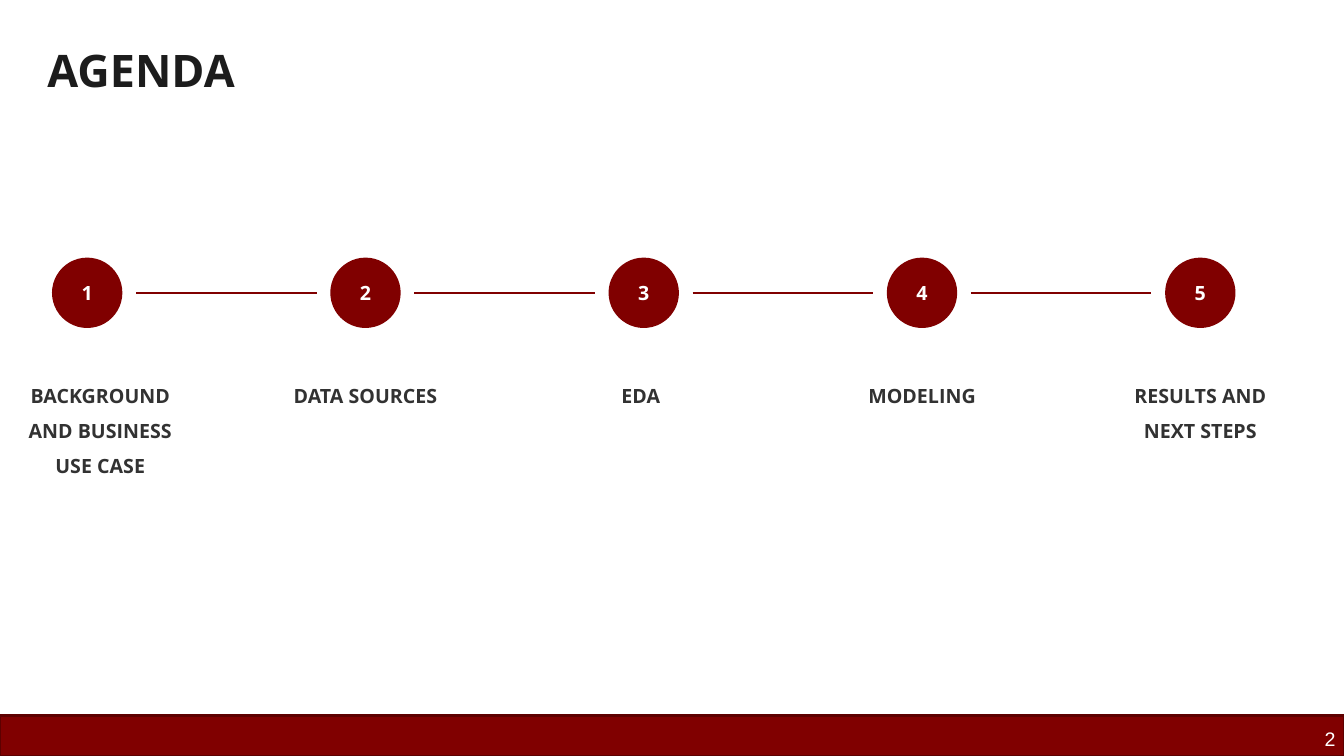
from pptx import Presentation
from pptx.dml.color import RGBColor
from pptx.enum.shapes import MSO_CONNECTOR as Connector, MSO_SHAPE as Shape
from pptx.enum.text import MSO_ANCHOR as Anchor, MSO_AUTO_SIZE as AutoSize, PP_ALIGN as Align
from pptx.util import Inches, Pt
from lxml.etree import SubElement
from pptx.oxml.ns import qn

MAROON = "800000"
STEPS = [
    ("BACKGROUND AND BUSINESS USE CASE", 1.87, 1.04, 0.13),
    ("DATA SOURCES", 1.87, 0.34, 0),
    ("EDA", 0.62, 0.34, -0.03),
    ("MODELING", 1.48, 0.34, 0),
    ("RESULTS AND NEXT STEPS", 1.87, 0.77, 0),
]


def color(value):
    """Turn a hex string into a colour."""
    return RGBColor.from_string(value)


def inches(*values):
    """Convert several lengths to inches."""
    return [Inches(value) for value in values]


def write(shape, text, size, ink, font="Open Sans", bold=True, align=Align.LEFT,
          anchor=Anchor.TOP, spacing=1.0):
    """Write one formatted run into a shape."""
    frame = shape.text_frame
    frame.word_wrap = True
    frame.vertical_anchor = anchor
    para = frame.paragraphs[0]
    para.alignment = align
    para.line_spacing = spacing
    span = para.add_run()
    span.text = text
    span.font.name = font
    span.font.size = Pt(size)
    span.font.bold = bold
    span.font.color.rgb = color(ink)


def add_solid(page, kind, box, outline):
    """Add a maroon preset shape."""
    shape = page.shapes.add_shape(kind, *inches(*box))
    shape.shadow.inherit = False
    shape.fill.solid()
    shape.fill.fore_color.rgb = color(MAROON)
    shape.line.color.rgb = color(outline)
    shape.line.width = Pt(2)
    return shape


def add_label(page, box, text, **style):
    """Add a text box that grows with its text."""
    label = page.shapes.add_textbox(*inches(*box))
    write(label, text, 14, **style)
    label.text_frame.auto_size = AutoSize.SHAPE_TO_FIT_TEXT


def add_link(page, start, end, middle):
    """Add a horizontal line between two circles."""
    link = page.shapes.add_connector(Connector.STRAIGHT, *inches(start, middle, end, middle))
    link.line.color.rgb = color(MAROON)
    link.line.width = Pt(1.5)
    SubElement(link._element.spPr, qn("a:effectLst"))


def add_title(page, box, text):
    """Place and format the title placeholder."""
    title = page.shapes.title
    title.left, title.top, title.width, title.height = inches(*box)
    write(title, text, 32, "1C1C1C", anchor=Anchor.MIDDLE, spacing=0.9)


def add_footer(page, box, number):
    """Add the footer bar with the slide number at its right end."""
    left, top, width, height = box
    add_solid(page, Shape.RECTANGLE, box, "5D0000")
    add_label(page, (left + width - 0.29, top + 0.06, 0.29, height - 0.06), number,
              ink="FFFFFF", font="Arial", bold=False)


def add_timeline(page, box, steps):
    """Add numbered circles, the lines between them and their labels."""
    left, top, width, _ = box
    size, gap = 0.67, 0.15
    pitch = (width - size) / (len(steps) - 1)
    for index, (text, label_width, label_height, shift) in enumerate(steps):
        start = left + index * pitch
        circle = add_solid(page, Shape.OVAL, (start, top, size, size), MAROON)
        write(circle, str(index + 1), 14, "FFFFFF", align=Align.CENTER, anchor=Anchor.MIDDLE)
        if index < len(steps) - 1:
            add_link(page, start + size + gap, start + pitch - gap, top + size / 2)
        label_left = start + (size - label_width) / 2 + shift
        add_label(page, (label_left, top + 1.07, label_width, label_height), text,
                  ink="323232", align=Align.CENTER, spacing=1.5)


def build():
    """Build and save the agenda slide."""
    deck = Presentation()
    deck.slide_width, deck.slide_height = inches(13.33, 7.5)
    page = deck.slides.add_slide(deck.slide_layouts[5])
    add_title(page, (0.37, 0, 12.96, 1.45), "AGENDA")
    add_timeline(page, (0.53, 2.57, 11.71, 2.11), STEPS)
    add_footer(page, (0, 7.1, 13.33, 0.4), "2")
    deck.save("out.pptx")


build()
